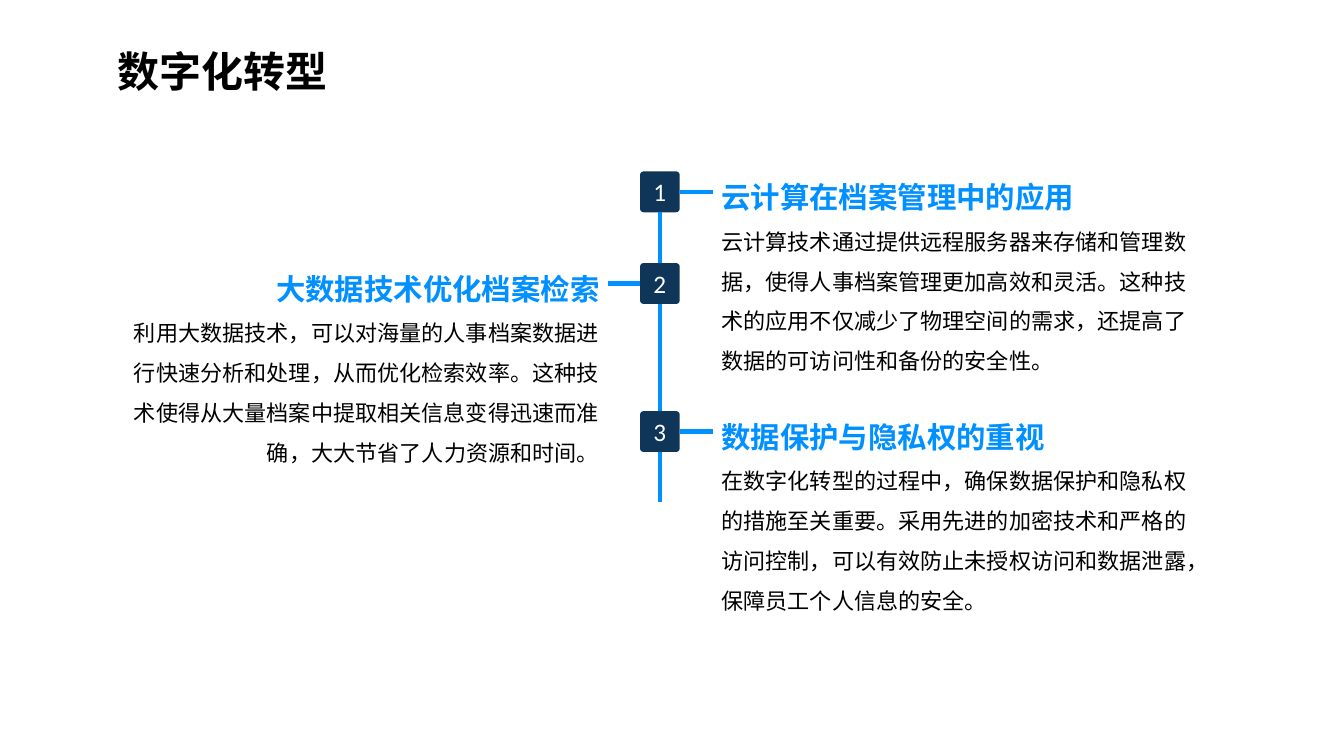
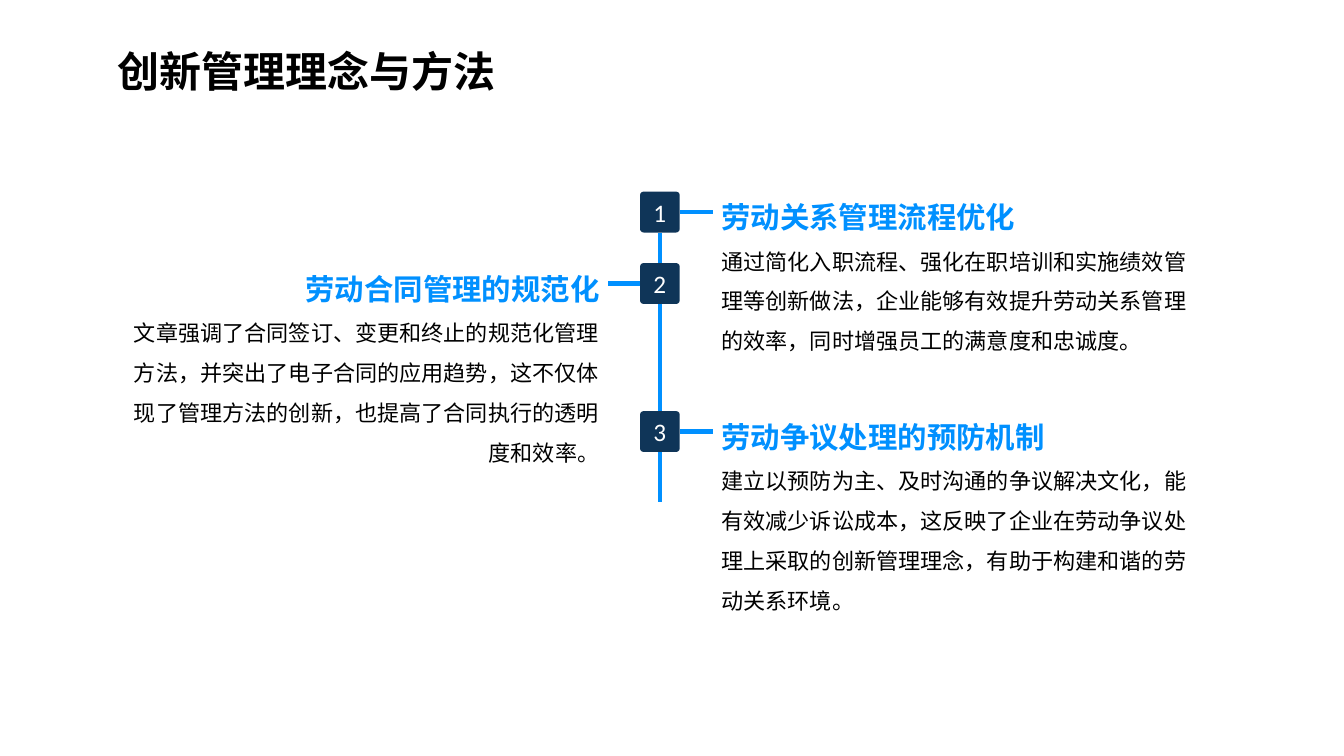
from dataclasses import dataclass

from lxml.etree import SubElement
from pptx import Presentation
from pptx.dml.color import RGBColor
from pptx.enum.lang import MSO_LANGUAGE_ID
from pptx.enum.shapes import MSO_CONNECTOR, MSO_SHAPE
from pptx.enum.text import MSO_ANCHOR, MSO_AUTO_SIZE, PP_ALIGN
from pptx.oxml.ns import qn
from pptx.util import Cm, Pt


@dataclass(frozen=True)
class Theme:
    ink: RGBColor = RGBColor(0x00, 0x00, 0x00)
    accent: RGBColor = RGBColor(0x00, 0x90, 0xFF)
    navy: RGBColor = RGBColor(0x0F, 0x35, 0x58)
    white: RGBColor = RGBColor(0xFF, 0xFF, 0xFF)
    font: str = "Noto Sans CJK SC"
    number_font: str = "Calibri"
    title: float = 30
    heading: float = 21
    number: float = 18
    body: float = 15.8
    line: float = 3
    single: float = 1.2
    loose: float = 1.8


THEME = Theme()
BADGE_LEFT, BADGE_W, BADGE_H = 16.13, 1, 1.03
TEXT_W = 12.64
LEFT_TEXT, RIGHT_TEXT = 2.72, 17.93
LEFT_END, RIGHT_END = 15.32, 17.96
SPINE_END = 12.65
TEXT_H = 5.16

SLIDES = [
    ("数字化转型", [
        (4.32, TEXT_H, "云计算在档案管理中的应用",
         "云计算技术通过提供远程服务器来存储和管理数据，使得人事档案管理更加高效和灵活。"
         "这种技术的应用不仅减少了物理空间的需求，还提高了数据的可访问性和备份的安全性。"),
        (6.63, TEXT_H, "大数据技术优化档案检索",
         "利用大数据技术，可以对海量的人事档案数据进行快速分析和处理，从而优化检索效率。"
         "这种技术使得从大量档案中提取相关信息变得迅速而准确，大大节省了人力资源和时间。"),
        (10.36, TEXT_H, "数据保护与隐私权的重视",
         "在数字化转型的过程中，确保数据保护和隐私权的措施至关重要。"
         "采用先进的加密技术和严格的访问控制，可以有效防止未授权访问和数据泄露，保障员工个人信息的安全。"),
    ]),
    ("创新管理理念与方法", [
        (4.83, 4.14, "劳动关系管理流程优化",
         "通过简化入职流程、强化在职培训和实施绩效管理等创新做法，"
         "企业能够有效提升劳动关系管理的效率，同时增强员工的满意度和忠诚度。"),
        (6.63, TEXT_H, "劳动合同管理的规范化",
         "文章强调了合同签订、变更和终止的规范化管理方法，并突出了电子合同的应用趋势，"
         "这不仅体现了管理方法的创新，也提高了合同执行的透明度和效率。"),
        (10.36, TEXT_H, "劳动争议处理的预防机制",
         "建立以预防为主、及时沟通的争议解决文化，能有效减少诉讼成本，"
         "这反映了企业在劳动争议处理上采取的创新管理理念，有助于构建和谐的劳动关系环境。"),
    ]),
]


def write(p, text, *, size, color, font=THEME.font, bold=False,
          align=PP_ALIGN.LEFT, leading=None):
    p.alignment = align
    if leading:
        p.line_spacing = Pt(size * leading)
    p.space_before = p.space_after = Pt(0)
    r = p.add_run()
    r.text = text
    r.font.size = Pt(size)
    r.font.bold = bold
    r.font.color.rgb = color
    r.font.name = font
    r.font.language_id = MSO_LANGUAGE_ID.SIMPLIFIED_CHINESE
    SubElement(r.font._element, qn("a:ea")).set("typeface", font)


def set_frame(tf, side=0.25, top=0.2, bottom=0.05):
    tf.word_wrap = True
    tf.auto_size = MSO_AUTO_SIZE.NONE
    tf.vertical_anchor = MSO_ANCHOR.MIDDLE
    tf.margin_left = tf.margin_right = Cm(side)
    tf.margin_top, tf.margin_bottom = Cm(top), Cm(bottom)


def set_title(s, text):
    sp = s.shapes.title
    sp.left, sp.top, sp.width, sp.height = Cm(2.72), Cm(0.3), Cm(26.04), Cm(2.16)
    set_frame(sp.text_frame)
    write(sp.text_frame.paragraphs[0], text, size=THEME.title, color=THEME.ink,
          bold=True, leading=THEME.loose)


def add_entry(s, left, top, height, heading, body, align):
    sp = s.shapes.add_textbox(Cm(left), Cm(top), Cm(TEXT_W), Cm(height))
    tf = sp.text_frame
    set_frame(tf)
    write(tf.paragraphs[0], heading, size=THEME.heading, color=THEME.accent,
          bold=True, align=align, leading=THEME.single)
    write(tf.add_paragraph(), body, size=THEME.body, color=THEME.ink,
          align=align, leading=THEME.loose)


def add_badge(s, number, top):
    sp = s.shapes.add_shape(MSO_SHAPE.ROUNDED_RECTANGLE, Cm(BADGE_LEFT), Cm(top),
                            Cm(BADGE_W), Cm(BADGE_H))
    sp.adjustments[0] = 0.09
    sp.shadow.inherit = False
    sp.fill.solid()
    sp.fill.fore_color.rgb = THEME.navy
    sp.line.fill.background()
    set_frame(sp.text_frame, side=0, top=0, bottom=0)
    write(sp.text_frame.paragraphs[0], str(number), size=THEME.number,
          color=THEME.white, font=THEME.number_font, align=PP_ALIGN.CENTER)
    return sp


def add_link(s, badge, site, end_x, end_y, target=None):
    cx = s.shapes.add_connector(MSO_CONNECTOR.STRAIGHT, 0, 0, end_x, end_y)
    cx.begin_connect(badge, site)
    if target is not None:
        cx.end_connect(target, 0)
    cx.line.color.rgb = THEME.accent
    cx.line.width = Pt(THEME.line)
    SubElement(cx._element.spPr, qn("a:effectLst"))


def add_timeline(s, entries):
    badges = [add_badge(s, i, top) for i, (top, *_) in enumerate(entries, 1)]
    for i, (badge, entry) in enumerate(zip(badges, entries)):
        top, height, heading, body = entry
        on_right = i % 2 == 0
        add_entry(s, RIGHT_TEXT if on_right else LEFT_TEXT, top, height, heading, body,
                  PP_ALIGN.LEFT if on_right else PP_ALIGN.RIGHT)
        add_link(s, badge, 3 if on_right else 1,
                 Cm(RIGHT_END if on_right else LEFT_END), badge.top + badge.height // 2)
        following = badges[i + 1] if i + 1 < len(badges) else None
        add_link(s, badge, 2, badge.left + badge.width // 2, Cm(SPINE_END), following)


def main():
    prs = Presentation()
    prs.slide_width, prs.slide_height = Cm(33.87), Cm(19.05)
    for title, entries in SLIDES:
        s = prs.slides.add_slide(prs.slide_layouts[5])
        set_title(s, title)
        add_timeline(s, entries)
    prs.save("out.pptx")


if __name__ == "__main__":
    main()
